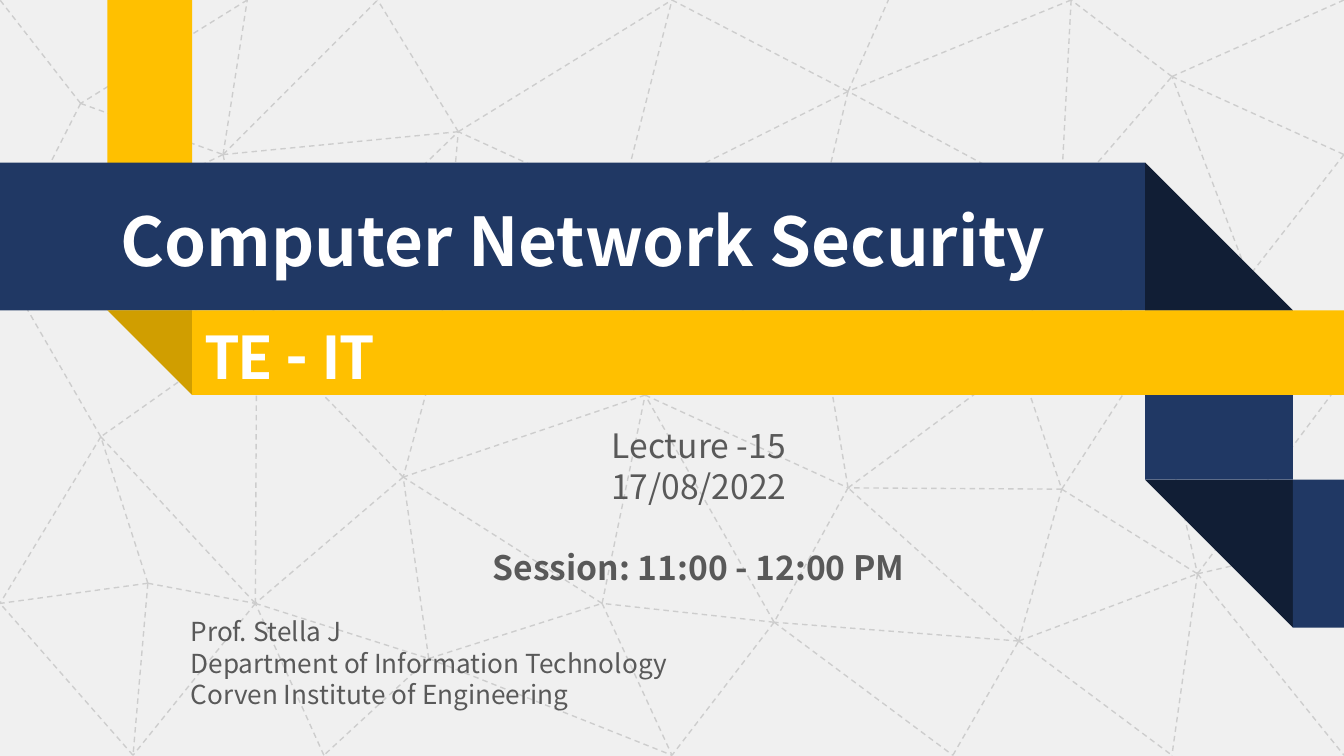
from lxml.etree import SubElement
from pptx import Presentation
from pptx.dml.color import RGBColor
from pptx.enum.dml import MSO_LINE
from pptx.enum.shapes import MSO_CONNECTOR, MSO_SHAPE as Shape
from pptx.enum.text import MSO_ANCHOR as Anchor, PP_ALIGN as Align
from pptx.oxml.ns import qn
from pptx.util import Inches, Pt

COLORS = {
    "paper": "F0F0F0", "mesh": "CDCDCD", "navy": "203864", "navy_fold": "111E35",
    "gold": "FFC000", "gold_fold": "D09E00", "white": "FFFFFF", "gray": "595959",
}
WIDTH, HEIGHT = 10, 5.62
BODY_FONT, RIBBON_FONT = "Noto Sans CJK SC", "Calibri"
LINE_HEIGHT = 1.21

MESH_NODES = {
    "A": (0, 0), "B": (0, 1.95), "C": (0, 4.49), "D": (0.6, 0.77),
    "E": (0.75, 3.25), "F": (1.1, 4.34), "G": (0.99, HEIGHT), "H": (1.84, 0),
    "I": (1.66, 1.15), "J": (1.91, 2.43), "K": (1.9, 4.49), "L": (2.41, HEIGHT),
    "M": (2.81, 0), "N": (3.41, 0.98), "O": (3.27, 2.56), "P": (3, 3.55),
    "Q": (3.19, 4.9), "R": (4.61, 1.53), "S": (4.8, 2.94), "T": (4.48, 4.49),
    "U": (5, 0), "V": (5, HEIGHT), "W": (6.31, 0.68), "X": (6.02, 1.89),
    "Y": (6.31, 3.63), "Z": (5.76, 4.63), "a": (6.61, 0), "b": (7.97, 0),
    "c": (7.89, 1.53), "d": (7.58, 2.69), "e": (7.9, 3.64), "f": (7.58, 4.77),
    "g": (7.09, HEIGHT), "h": (8.72, 0.57), "i": (8.54, 2.65), "j": (8.91, 4.27),
    "k": (8.72, HEIGHT), "l": (WIDTH, 0), "m": (9.29, 2.06), "n": (WIDTH, 1.15),
    "o": (WIDTH, 2.81), "p": (WIDTH, 4.02), "q": (WIDTH, HEIGHT),
}
MESH_EDGES = """
    IH IB IM NI IJ JN JB OP PJ PK KJ JE EK EB EC FC KG GC KQ QP QL LK QT QV TV
    TP TS SP OS ON OR RS RN NM NU RU UW WR WX XS SY YX YZ ZT ZV Wa cW Yd dc de
    eY fY Zg gf fZ fe fk ic ch hb hl hn nm mh mc mi mo ej jo jq jk dX ei io ij
    bc ZS FE FK FG fj jp HD DI DB DA bW
""".split()


class SlideBuilder:
    """Holds the colours and the slide that elements are added to."""

    def __init__(self, slide, colors):
        self.shapes = slide.shapes
        self.colors = {name: RGBColor.from_string(code) for name, code in colors.items()}

    def dashed_line(self, start, end):
        points = [Inches(value) for value in (*start, *end)]
        line = self.shapes.add_connector(MSO_CONNECTOR.STRAIGHT, *points)
        line.line.color.rgb = self.colors["mesh"]
        line.line.width = Pt(0.75)
        line.line.dash_style = MSO_LINE.DASH
        SubElement(line._element.spPr, qn("a:effectLst"))

    def block(self, kind, color, left, top, width, height, rotation=0):
        shape = self.shapes.add_shape(kind, *map(Inches, (left, top, width, height)))
        shape.shadow.inherit = False
        shape.fill.solid()
        shape.fill.fore_color.rgb = self.colors[color]
        shape.line.fill.background()
        shape.rotation = rotation
        return shape

    def text_box(self, left, top, width, height, wrap=True):
        box = self.shapes.add_textbox(*map(Inches, (left, top, width, height)))
        box.text_frame.word_wrap = wrap
        return box

    def set_text(self, shape, lines, size, color, font=BODY_FONT, bold=False, align=Align.LEFT):
        """Fills the shape with one paragraph per line and returns the paragraphs."""
        shape.text_frame.text = "\n".join(lines)
        for para in shape.text_frame.paragraphs:
            para.alignment = align
            para.font.name = font
            para.font.size = Pt(size)
            para.font.bold = bold
            para.font.color.rgb = self.colors[color]
            if font == BODY_FONT:
                para.line_spacing = Pt(round(size * LINE_HEIGHT, 1))
        return shape.text_frame.paragraphs


def main():
    deck = Presentation()
    deck.slide_width = Inches(WIDTH)
    deck.slide_height = deck.slide_width * 9 // 16
    slide = deck.slides.add_slide(deck.slide_layouts[6])
    builder = SlideBuilder(slide, COLORS)

    paper = builder.block(Shape.RECTANGLE, "paper", 0, 0, WIDTH, HEIGHT)
    paper.height = deck.slide_height
    for start, end in MESH_EDGES:
        builder.dashed_line(MESH_NODES[start], MESH_NODES[end])

    # Navy ribbon tail, then the gold strip and the navy title band
    builder.block(Shape.RECTANGLE, "navy", 8.52, 2.31, 1.1, 1.26)
    builder.block(Shape.RIGHT_TRIANGLE, "navy_fold", 8.52, 3.57, 1.1, 1.1, rotation=180)
    builder.block(Shape.RECTANGLE, "navy", 9.62, 3.57, 0.38, 1.1)
    builder.block(Shape.RECTANGLE, "gold", 0.8, 0, 0.63, 2.31)
    builder.block(Shape.RECTANGLE, "navy", 0, 1.21, 8.52, 1.1)
    builder.block(Shape.RIGHT_TRIANGLE, "navy_fold", 8.52, 1.21, 1.1, 1.1)
    title = builder.text_box(0.8, 1.43, 7.23, 0.71, wrap=False)
    builder.set_text(title, ["Computer Network Security"], 36, "white", bold=True)

    builder.block(Shape.RIGHT_TRIANGLE, "gold_fold", 0.8, 2.31, 0.63, 0.63, rotation=180)
    ribbon = builder.block(Shape.RECTANGLE, "gold", 1.43, 2.31, 8.57, 0.63)
    ribbon.text_frame.vertical_anchor = Anchor.MIDDLE
    builder.set_text(ribbon, ["TE - IT"], 36, "white", font=RIBBON_FONT, bold=True)

    author = builder.text_box(1.32, 4.53, 4.06, 0.81)
    builder.set_text(author, ["Prof. Stella J", "Department of Information Technology",
                              "Corven Institute of Engineering"], 14, "gray")

    lecture = builder.text_box(3.23, 3.11, 3.94, 1.31)
    lines = ["Lecture -15", "17/08/2022", "Session: 11:00 - 12:00 PM"]
    *_, session = builder.set_text(lecture, lines, 18, "gray", align=Align.CENTER)
    session.font.bold = True
    session.space_before = Pt(21.8)

    deck.save("out.pptx")


if __name__ == "__main__":
    main()
